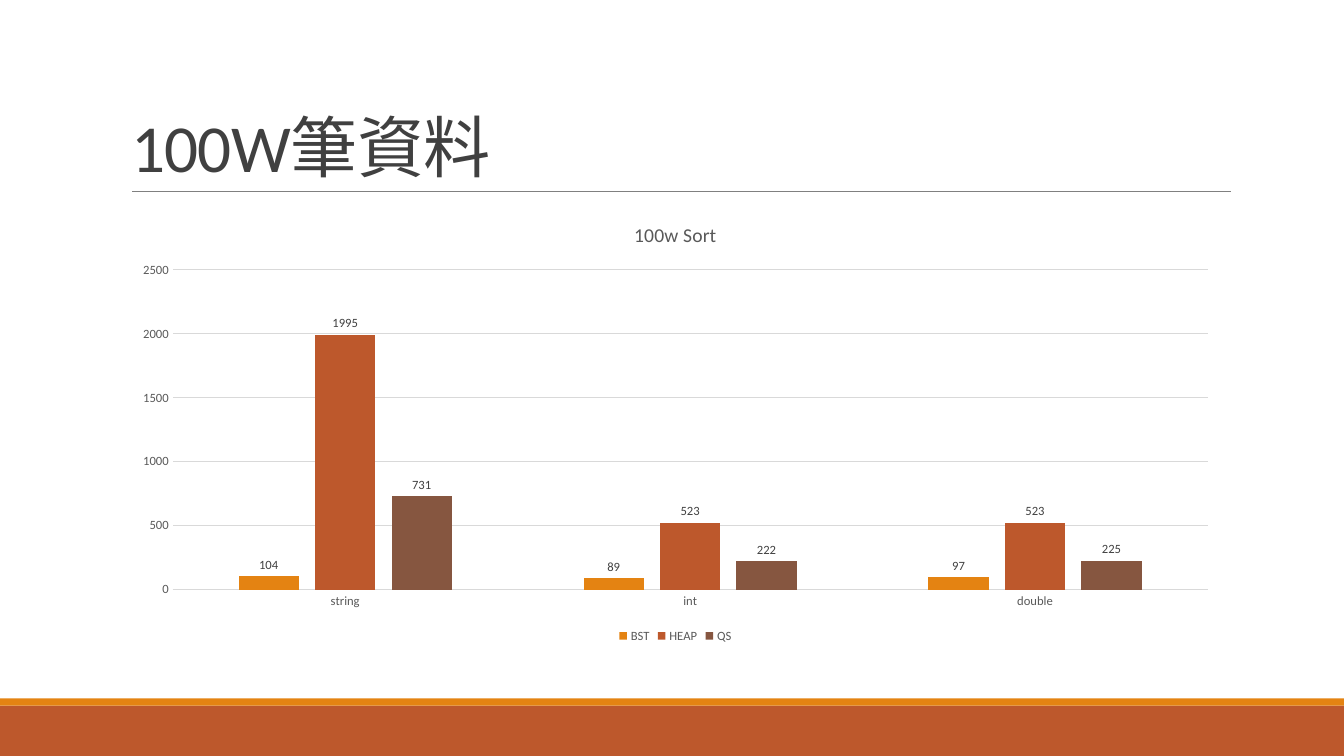
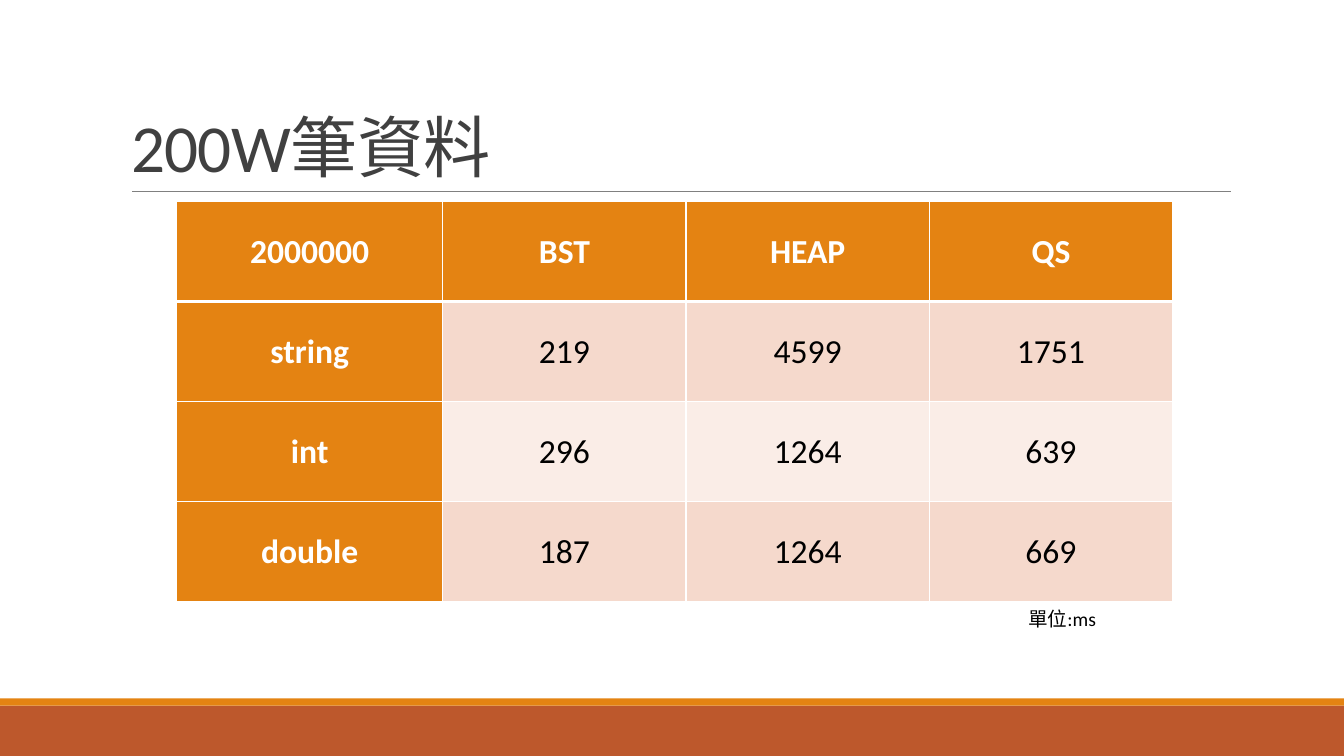
from lxml import etree
from pptx import Presentation
from pptx import util as u
from pptx.chart.data import CategoryChartData
from pptx.dml.color import RGBColor
from pptx.enum import chart as charts, shapes, text
from pptx.oxml.ns import qn

ORANGE = RGBColor(0xE4, 0x83, 0x12)
RUST = RGBColor(0xBD, 0x58, 0x2C)
BROWN = RGBColor(0x86, 0x56, 0x40)
PINK = RGBColor(0xF5, 0xD9, 0xCC)
PALE_PINK = RGBColor(0xFA, 0xED, 0xE7)
DARK = RGBColor(0x40, 0x40, 0x40)
AXIS_GREY = RGBColor(0x59, 0x59, 0x59)
RULE_GREY = RGBColor(0x80, 0x80, 0x80)
GRID_GREY = RGBColor(0xD9, 0xD9, 0xD9)
WHITE = RGBColor(0xFF, 0xFF, 0xFF)
BLACK = RGBColor(0, 0, 0)

BANDS = [(17.78, 1.27, RUST), (17.6, 0.18, ORANGE)]
TITLE_FRAME = {"vertical_anchor": text.MSO_ANCHOR.BOTTOM, "word_wrap": True,
               "auto_size": text.MSO_AUTO_SIZE.NONE}
TITLE_PARAGRAPH = {"alignment": text.PP_ALIGN.LEFT, "line_spacing": 0.85}


def set_font(font, size, color, bold=False):
    for name, value in {"name": "Calibri", "size": u.Pt(size), "bold": bold}.items():
        setattr(font, name, value)
    font.color.rgb = color


def add_titled_slide(title):
    slide = presentation.slides.add_slide(presentation.slide_layouts[5])

    # Bottom bands
    for top, height, color in BANDS:
        band = slide.shapes.add_shape(shapes.MSO_SHAPE.RECTANGLE, 0, u.Cm(top),
                                      presentation.slide_width, u.Cm(height))
        band.shadow.inherit = False
        band.fill.solid()
        band.fill.fore_color.rgb = color
        band.line.fill.background()

    # Rule under the title
    rule = slide.shapes.add_connector(shapes.MSO_CONNECTOR.STRAIGHT, u.Cm(3.33), u.Cm(4.83),
                                      u.Cm(31.01), u.Cm(4.83))
    rule.line.color.rgb = RULE_GREY
    rule.line.width = u.Pt(0.5)
    etree.SubElement(rule._element.spPr, qn("a:effectLst"))

    # Title
    shape = slide.shapes.title
    shape.left, shape.top, shape.width, shape.height = u.Cm(3.05), u.Cm(0.79), u.Cm(27.94), u.Cm(4.04)
    for name, value in TITLE_FRAME.items():
        setattr(shape.text_frame, name, value)
    paragraph = shape.text_frame.paragraphs[0]
    for name, value in TITLE_PARAGRAPH.items():
        setattr(paragraph, name, value)
    run = paragraph.add_run()
    run.text = title
    set_font(run.font, 48, DARK)
    run._r.get_or_add_rPr().set("spc", "-50")
    return slide


presentation = Presentation()
presentation.slide_width, presentation.slide_height = u.Cm(33.87), u.Cm(19.05)

# Slide 1: column chart
slide = add_titled_slide("100W筆資料")
chart_data = CategoryChartData()
chart_data.categories = ["string", "int", "double"]
chart_data.add_series("BST", (104, 89, 97))
chart_data.add_series("HEAP", (1995, 523, 523))
chart_data.add_series("QS", (731, 222, 225))
chart = slide.shapes.add_chart(charts.XL_CHART_TYPE.COLUMN_CLUSTERED, u.Cm(3.05), u.Cm(5.13),
                               u.Cm(27.94), u.Cm(11.18), chart_data).chart
set_font(chart.font, 10, BLACK)

# Chart title and legend
chart.has_title = True
chart.chart_title.include_in_layout = False
chart_title = chart.chart_title.text_frame.paragraphs[0].add_run()
chart_title.text = "100w Sort"
set_font(chart_title.font, 14, AXIS_GREY)
chart.has_legend = True
chart.legend.position = charts.XL_LEGEND_POSITION.BOTTOM
chart.legend.include_in_layout = False
set_font(chart.legend.font, 9, AXIS_GREY)

# Axes
for axis in (chart.category_axis, chart.value_axis):
    axis.major_tick_mark = axis.minor_tick_mark = charts.XL_TICK_MARK.NONE
    set_font(axis.tick_labels.font, 9, AXIS_GREY)
chart.value_axis.has_major_gridlines = True
chart.value_axis.format.line.fill.background()
for line in (chart.category_axis.format.line, chart.value_axis.major_gridlines.format.line):
    line.color.rgb = GRID_GREY
    line.width = u.Pt(0.75)

# Columns
plot = chart.plots[0]
for name, value in {"gap_width": 219, "overlap": -27, "vary_by_categories": False,
                    "has_data_labels": True}.items():
    setattr(plot, name, value)
plot.data_labels.show_value = True
plot.data_labels.position = charts.XL_LABEL_POSITION.OUTSIDE_END
set_font(plot.data_labels.font, 9, DARK)
for series, color in zip(plot.series, (ORANGE, RUST, BROWN)):
    series.format.fill.solid()
    series.format.fill.fore_color.rgb = color

# Slide 2: table of times
slide = add_titled_slide("200W筆資料")
rows = [
    ("2000000", "BST", "HEAP", "QS"),
    ("string", "219", "4599", "1751"),
    ("int", "296", "1264", "639"),
    ("double", "187", "1264", "669"),
]
widths = [6.71, 6.13, 6.13, 6.13]
row_height = 2.52
table = slide.shapes.add_table(len(rows), len(widths), u.Cm(4.45), u.Cm(5.08),
                               u.Cm(sum(widths)), u.Cm(row_height * len(rows))).table
table.horz_banding = False
for column, width in zip(table.columns, widths):
    column.width = u.Cm(width)
cell_format = {"vertical_anchor": text.MSO_ANCHOR.MIDDLE, "margin_left": u.Cm(0.18),
               "margin_right": u.Cm(0.18), "margin_top": 0, "margin_bottom": 0}

for row_index, row in enumerate(rows):
    table.rows[row_index].height = u.Cm(row_height)
    for column_index, value in enumerate(row):
        cell = table.cell(row_index, column_index)
        is_header = row_index == 0 or column_index == 0
        for name, setting in cell_format.items():
            setattr(cell, name, setting)

        # White borders, thicker between header and body
        for side in ("L", "R", "T", "B"):
            thick = (row_index, side) in ((0, "B"), (1, "T"))
            border = etree.SubElement(cell._tc.get_or_add_tcPr(), qn("a:ln" + side),
                                      w=str(u.Pt(3 if thick else 1)))
            fill = etree.SubElement(border, qn("a:solidFill"))
            etree.SubElement(fill, qn("a:srgbClr"), val=str(WHITE))

        cell.fill.solid()
        cell.fill.fore_color.rgb = ORANGE if is_header else PINK if row_index % 2 else PALE_PINK
        paragraph = cell.text_frame.paragraphs[0]
        paragraph.alignment = text.PP_ALIGN.CENTER
        run = paragraph.add_run()
        run.text = value
        set_font(run.font, 24, WHITE if is_header else BLACK, is_header)

# Unit note
note = slide.shapes.add_textbox(u.Cm(24.82), u.Cm(15.16), u.Cm(6.17), u.Cm(0.86))
note.text_frame.word_wrap = True
note.text_frame.vertical_anchor = text.MSO_ANCHOR.MIDDLE
paragraph = note.text_frame.paragraphs[0]
paragraph._p.get_or_add_pPr().set("indent", str(u.Cm(0.84)))
run = paragraph.add_run()
run.text = "單位:ms"
set_font(run.font, 14, BLACK)

presentation.save("out.pptx")
